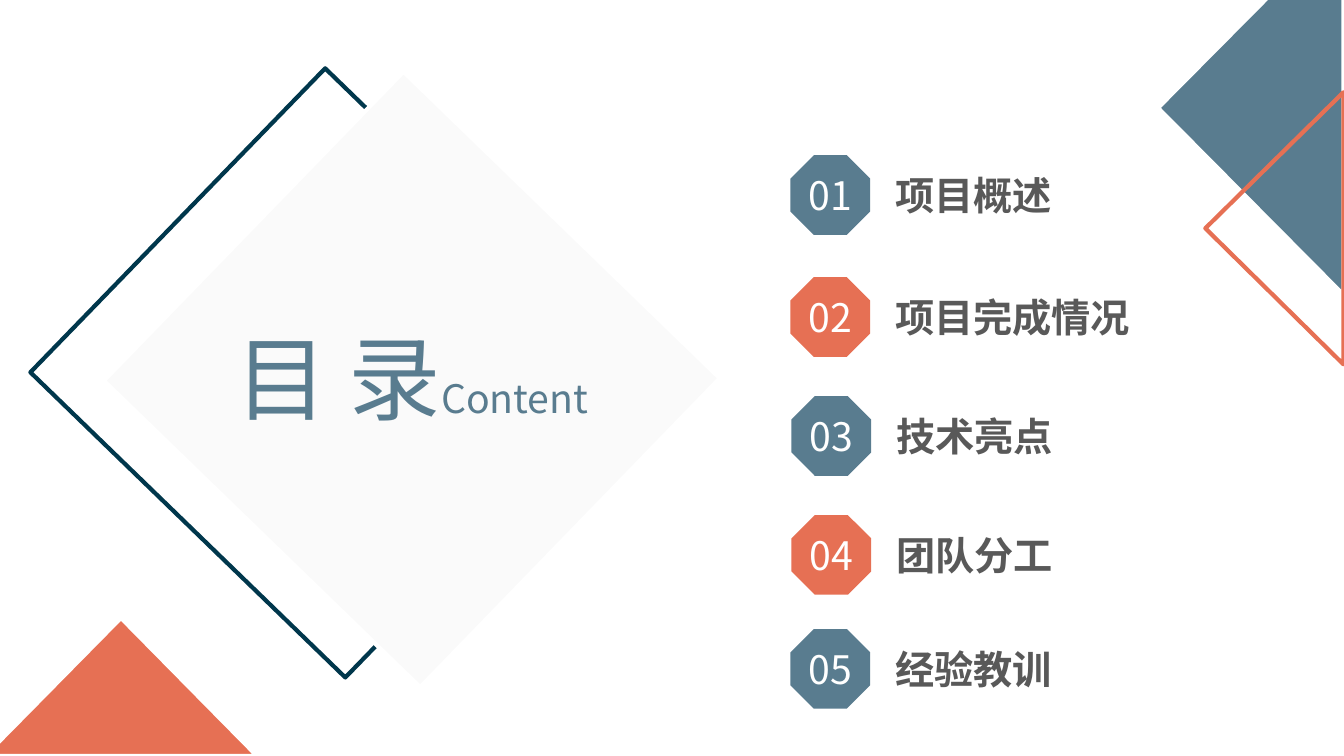
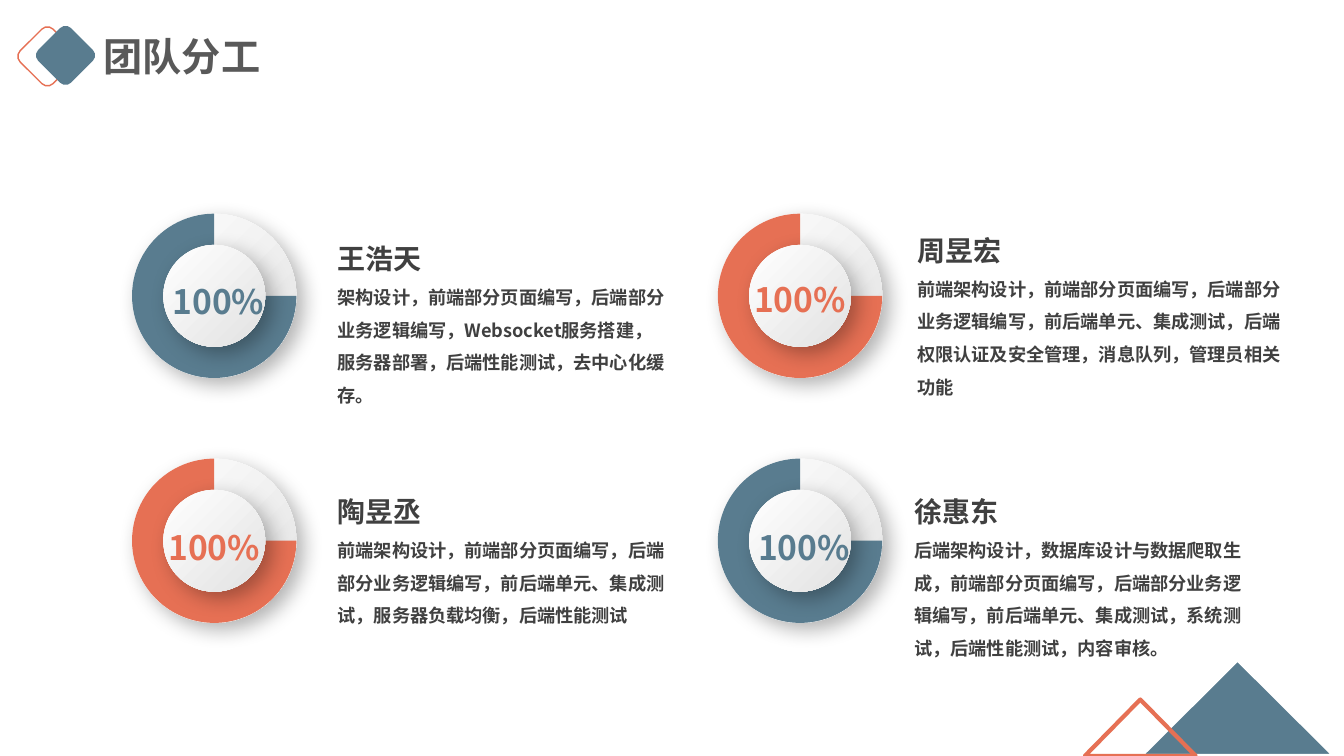
import pptx
import pptx.util
import pptx.dml.color
import pptx.enum.shapes
import pptx.enum.text
import pptx.oxml.ns
import lxml.etree

Inches = pptx.util.Inches
Pt = pptx.util.Pt
MSO = pptx.enum.shapes.MSO_SHAPE
ALIGN = pptx.enum.text.PP_ALIGN
qn = pptx.oxml.ns.qn
FONT = "Noto Sans CJK SC"
COLORS = {
    name: pptx.dml.color.RGBColor.from_string(value)
    for name, value in {
        "blue": "597C8F", "orange": "E67054", "navy": "00374C",
        "white": "FFFFFF", "pale": "FAFAFA", "silver": "E2E2E2",
        "title": "595959", "body": "404040",
    }.items()
}


def add_shape(s, kind, box, fill=None, line=None, width=3, rot=0):
    sp = s.shapes.add_shape(kind, *[Inches(v) for v in box])
    sp.shadow.inherit = False
    sp.rotation = rot
    if fill:
        sp.fill.solid()
        sp.fill.fore_color.rgb = COLORS[fill]
    else:
        sp.fill.background()
    if line:
        sp.line.color.rgb = COLORS[line]
        sp.line.width = Pt(width)
    else:
        sp.line.fill.background()
    return sp


def add_text(target, box, text, size, color, bold=False, align=ALIGN.LEFT, wrap=True):
    if box:
        target = target.shapes.add_textbox(*[Inches(v) for v in box])
    tf = target.text_frame
    tf.word_wrap = wrap
    for i, line in enumerate(text.split("\n")):
        p = tf.add_paragraph() if i else tf.paragraphs[0]
        p.add_run().text = line
        p.alignment = align
        p.font.size = Pt(size)
        p.font.bold = bold
        p.font.color.rgb = COLORS[color]
        p.font.name = FONT
        lxml.etree.SubElement(p._p.pPr.find(qn("a:defRPr")), qn("a:ea"), typeface=FONT)
    return tf


prs = pptx.Presentation()
prs.slide_width = Inches(13.33)
prs.slide_height = Inches(7.5)
blank = prs.slide_layouts[6]

s = prs.slides.add_slide(blank)
add_shape(s, MSO.ISOSCELES_TRIANGLE, (-0.15, 6.13, 2.7, 1.37), "orange", "white")
add_shape(s, MSO.ISOSCELES_TRIANGLE, (10.55, 0.15, 3.71, 1.84), "blue", "white", rot=270)
add_shape(s, MSO.ISOSCELES_TRIANGLE, (11.29, 1.58, 2.7, 1.37), line="orange", rot=270)
add_shape(s, MSO.RECTANGLE, (1.15, 1.6, 4.35, 4.2), line="navy", rot=44.1)
add_shape(s, MSO.RECTANGLE, (1.9, 1.63, 4.37, 4.27), "pale", "white", rot=44.1)
tf = add_text(s, (1.92, 3.14, 4.33, 1.21), "目 录", 66, "blue", align=ALIGN.CENTER)
r = tf.paragraphs[0].add_run()
r.text = "Content"
r.font.size = Pt(28)

agenda = [
    ("项目概述", 7.84, 1.54),
    ("项目完成情况", 7.84, 2.75),
    ("技术亮点", 7.85, 3.93),
    ("团队分工", 7.85, 5.11),
    ("经验教训", 7.84, 6.24),
]
for i, (topic, x, y) in enumerate(agenda):
    badge = add_shape(s, MSO.OCTAGON, (x, y, 0.79, 0.79), ("blue", "orange")[i % 2])
    tf = add_text(badge, None, f"{i + 1:02}", 28, "white", align=ALIGN.CENTER)
    tf.margin_left = tf.margin_right = tf.margin_top = tf.margin_bottom = 0
    add_text(s, (x + 0.94, y + 0.11, 2.56, 0.57), topic, 28, "title", bold=True, wrap=False)

s = prs.slides.add_slide(blank)
add_shape(s, MSO.ROUNDED_RECTANGLE, (0.24, 0.33, 0.46, 0.46), line="orange", width=1, rot=45)
add_shape(s, MSO.ROUNDED_RECTANGLE, (0.42, 0.32, 0.46, 0.46), "blue", rot=45)
add_text(s, (0.93, 0.27, 1.77, 0.57), "团队分工", 28, "title", bold=True, wrap=False)

members = [
    ("王浩天", "架构设计，前端部分页面编写，后端部分业务逻辑编写，Websocket服务搭建，服务器部署，后端性能测试，去中心化缓存。",
     "blue", (1.57, 2.74), (3.25, 2.18, 3.49, 1.88)),
    ("周昱宏", "前端架构设计，前端部分页面编写，后端部分业务逻辑编写，前后端单元、集成测试，后端权限认证及安全管理，消息队列，管理员相关功能",
     "orange", (7.34, 2.72), (9, 2.1, 3.84, 1.88)),
    ("陶昱丞", "前端架构设计，前端部分页面编写，后端部分业务逻辑编写，前后端单元、集成测试，服务器负载均衡，后端性能测试",
     "orange", (1.53, 5.18), (3.25, 4.69, 3.49, 1.55)),
    ("徐惠东", "后端架构设计，数据库设计与数据爬取生成，前端部分页面编写，后端部分业务逻辑编写，前后端单元、集成测试，系统测试，后端性能测试，内容审核。",
     "blue", (7.38, 5.18), (8.97, 4.69, 3.49, 1.88)),
]
for i, (name, duties, color, label, box) in enumerate(members):
    x = 1.31 + i % 2 * 5.81
    y = 2.12 + i // 2 * 2.43
    dial = add_shape(s, MSO.OVAL, (x, y, 1.63, 1.63))
    add_shape(s, MSO.PIE, (x, y, 1.63, 1.63), color)
    hub = add_shape(s, MSO.OVAL, (x + 0.31, y + 0.31, 1.01, 1.01))
    for disc in (dial, hub):
        disc.fill.gradient()
        disc.fill.gradient_angle = 315
        for stop, shade in zip(disc.fill.gradient_stops, ("white", "silver")):
            stop.color.rgb = COLORS[shade]
        effects = disc._element.spPr.find(qn("a:effectLst"))
        shadow = lxml.etree.SubElement(
            effects, qn("a:outerShdw"), blurRad=str(Pt(15)), dist=str(Pt(7)),
            dir="2700000", algn="tl", rotWithShape="0")
        black = lxml.etree.SubElement(shadow, qn("a:srgbClr"), val="000000")
        lxml.etree.SubElement(black, qn("a:alpha"), val="30000")
    add_text(s, (*label, 1.19, 0.5), "100%", 24, color, bold=True, align=ALIGN.CENTER)
    tf = add_text(s, box, f"{name}\n{duties}", 20, "body", bold=True)
    for p in tf.paragraphs:
        p.line_spacing = 1.5
    tf.paragraphs[0].alignment = ALIGN.JUSTIFY
    tf.paragraphs[1].font.size = Pt(13)

add_shape(s, MSO.ISOSCELES_TRIANGLE, (11.31, 6.54, 1.93, 0.96), "blue", "white")
add_shape(s, MSO.ISOSCELES_TRIANGLE, (10.76, 6.94, 1.1, 0.56), line="orange")

prs.save("out.pptx")
